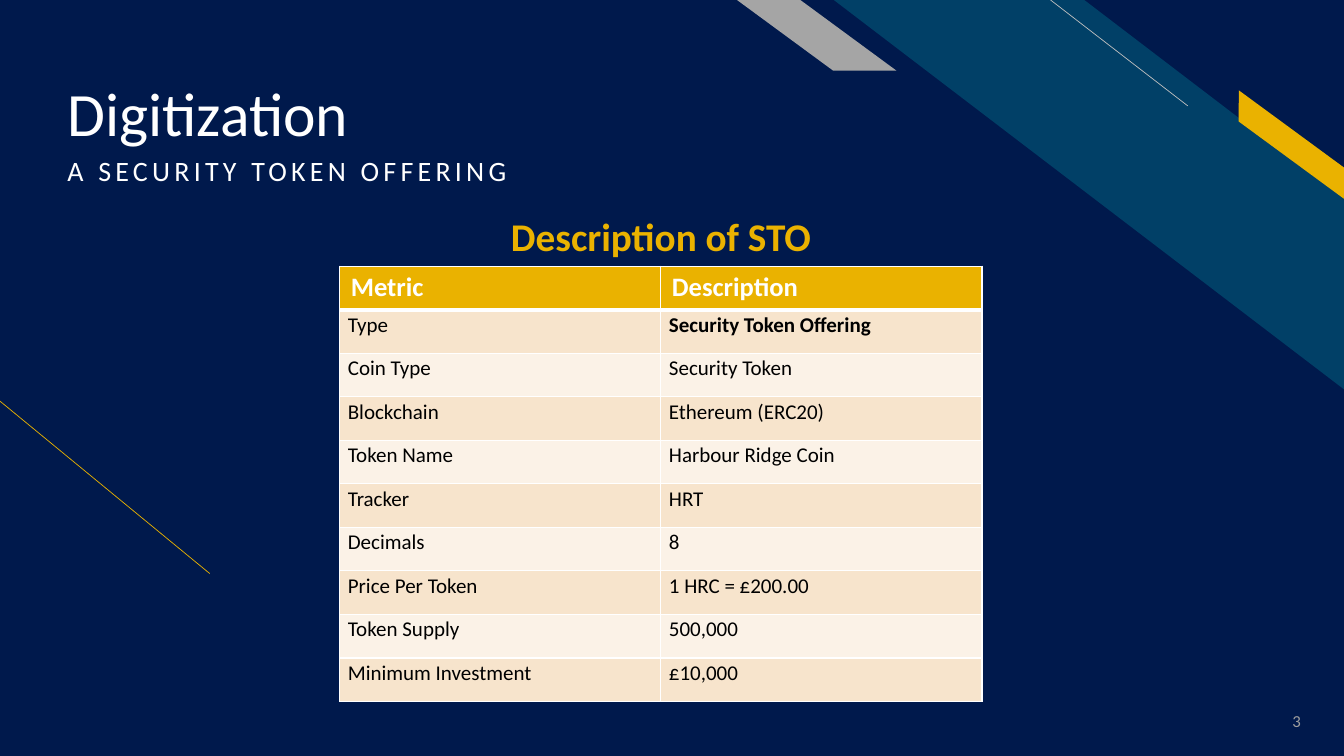
from dataclasses import dataclass

from lxml.etree import SubElement
from pptx import Presentation
from pptx.dml.color import RGBColor
from pptx.enum.shapes import MSO_CONNECTOR, MSO_SHAPE
from pptx.enum.text import MSO_ANCHOR, PP_ALIGN
from pptx.oxml.ns import qn
from pptx.util import Inches, Pt


@dataclass(frozen=True)
class Theme:
    navy: str = "00194C"
    teal: str = "014067"
    gold: str = "EAB200"
    gray: str = "A5A5A5"
    silver: str = "BFBFBF"
    dim: str = "9F9F9F"
    white: str = "FFFFFF"
    black: str = "000000"
    sand: str = "F7E4CC"
    cream: str = "FBF2E7"
    font: str = "Calibri"
    title: int = 44
    head: int = 28
    sub: int = 20
    label: int = 19
    body: int = 15
    page: int = 12


class Deck:
    def __init__(self, theme):
        self.theme = theme
        self.prs = Presentation()
        self.prs.slide_width = Inches(13.33)
        self.prs.slide_height = Inches(7.5)
        self.slide = self.prs.slides.add_slide(self.prs.slide_layouts[6])
        self.paint(self.slide.background.fill, theme.navy)

    def paint(self, fill, color):
        fill.solid()
        fill.fore_color.rgb = RGBColor.from_string(color)

    def style(self, para, text, size, color, bold=False):
        para.text = text
        para.font.name = self.theme.font
        para.font.size = Pt(size)
        para.font.bold = bold
        para.font.color.rgb = RGBColor.from_string(color)

    def stripe(self, kind, box, adjust, color, turn=0):
        shape = self.slide.shapes.add_shape(kind, *map(Inches, box))
        shape.adjustments[0] = adjust
        shape.rotation = turn
        shape.shadow.inherit = False
        self.paint(shape.fill, color)
        shape.line.fill.background()
        # Mirror the preset from left to right
        shape._element.spPr.find(qn("a:xfrm")).set("flipH", "1")

    def line(self, start, end, color):
        line = self.slide.shapes.add_connector(
            MSO_CONNECTOR.STRAIGHT, *map(Inches, start + end))
        line.line.width = Pt(0.5)
        line.line.color.rgb = RGBColor.from_string(color)
        SubElement(line._element.spPr, qn("a:effectLst"))

    def text(self, box, text, size, color, bold=False,
             anchor=MSO_ANCHOR.TOP, align=PP_ALIGN.LEFT, gap=1.0,
             before=0, track=0, foot=0.05):
        frame = self.slide.shapes.add_textbox(*map(Inches, box)).text_frame
        frame.word_wrap = True
        frame.vertical_anchor = anchor
        frame.margin_bottom = Inches(foot)
        para = frame.paragraphs[0]
        self.style(para, text, size, color, bold)
        para.alignment = align
        para.line_spacing = gap
        para.space_before = Pt(before)
        if track:
            run = para.runs[0]._r.get_or_add_rPr()
            run.set("spc", str(track * 100))

    def edge(self, cell, top, bottom):
        props = cell._tc.get_or_add_tcPr()
        sides = (("L", 1), ("R", 1), ("T", top), ("B", bottom))
        for side, width in sides:
            line = SubElement(props, qn(f"a:ln{side}"), w=str(Pt(width)))
            fill = SubElement(line, qn("a:solidFill"))
            SubElement(fill, qn("a:srgbClr"), val=self.theme.white)

    def cell(self, cell, text, row, bold):
        theme = self.theme
        first = row == 0
        self.edge(cell, 3 if row == 1 else 1, 3 if first else 1)
        fill = theme.gold if first else (theme.cream, theme.sand)[row % 2]
        self.paint(cell.fill, fill)
        cell.margin_left = cell.margin_right = Inches(0.11 if first else 0.08)
        cell.margin_top = cell.margin_bottom = Inches(0.05 if first else 0)
        para = cell.text_frame.paragraphs[0]
        if first:
            self.style(para, text, theme.label, theme.white, True)
        else:
            self.style(para, text, theme.body, theme.black, bold)
            para.line_spacing = 1.1

    def table(self, box, rows, strong):
        table = self.slide.shapes.add_table(
            len(rows), len(rows[0]), *map(Inches, box)).table
        for r, row in enumerate(rows):
            for c, text in enumerate(row):
                self.cell(table.cell(r, c), text, r, (r, c) == strong)


ROWS = [
    ("Metric", "Description"),
    ("Type", "Security Token Offering"),
    ("Coin Type", "Security Token"),
    ("Blockchain", "Ethereum (ERC20)"),
    ("Token Name", "Harbour Ridge Coin"),
    ("Tracker", "HRT"),
    ("Decimals", "8"),
    ("Price Per Token", "1 HRC = £200.00"),
    ("Token Supply", "500,000"),
    ("Minimum Investment", "£10,000"),
]


def main():
    theme = Theme()
    deck = Deck(theme)

    # Diagonal stripes and thin lines
    deck.line((2.08, 5.69), (0, 3.98), theme.gold)
    deck.stripe(MSO_SHAPE.DIAGONAL_STRIPE, (8.27, 0, 5.07, 3.87), 0.51,
                theme.teal)
    deck.line((11.78, 1.05), (10.42, 0), theme.silver)
    deck.stripe(MSO_SHAPE.PARALLELOGRAM, (12.07, 1.31, 1.48, 0.25), 0.72,
                theme.gold, 36.3)
    deck.stripe(MSO_SHAPE.PARALLELOGRAM, (7.31, 0, 1.58, 0.7), 1.36,
                theme.gray)

    # Headings
    deck.text((0.57, 0.23, 9.11, 1.26), "Digitization", theme.title,
              theme.white, anchor=MSO_ANCHOR.BOTTOM, gap=0.9, foot=0)
    deck.text((0.57, 1.51, 8.06, 0.67), "A SECURITY TOKEN OFFERING",
              theme.sub, theme.white, gap=0.9, before=10, track=3)
    deck.text((3.56, 1.77, 5.99, 0.85), "Description of STO", theme.head,
              theme.gold, bold=True, anchor=MSO_ANCHOR.BOTTOM,
              align=PP_ALIGN.CENTER)

    # Token facts
    deck.table((3.37, 2.64, 6.37, 4.32), ROWS, strong=(1, 1))

    # Page number
    deck.text((12.19, 6.95, 0.81, 0.4), "3", theme.page, theme.dim,
              anchor=MSO_ANCHOR.MIDDLE, align=PP_ALIGN.RIGHT)

    deck.prs.save("out.pptx")


if __name__ == "__main__":
    main()
